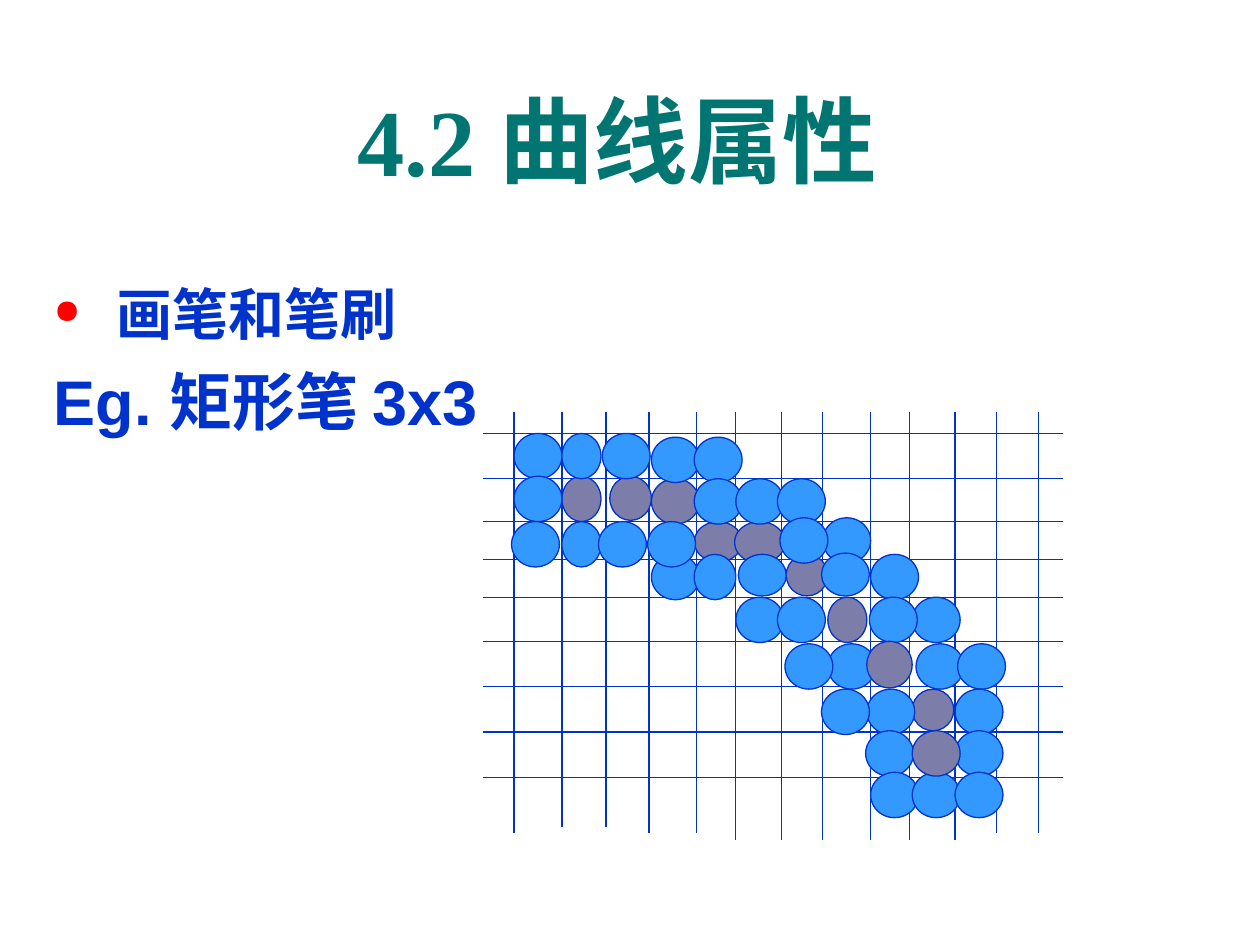
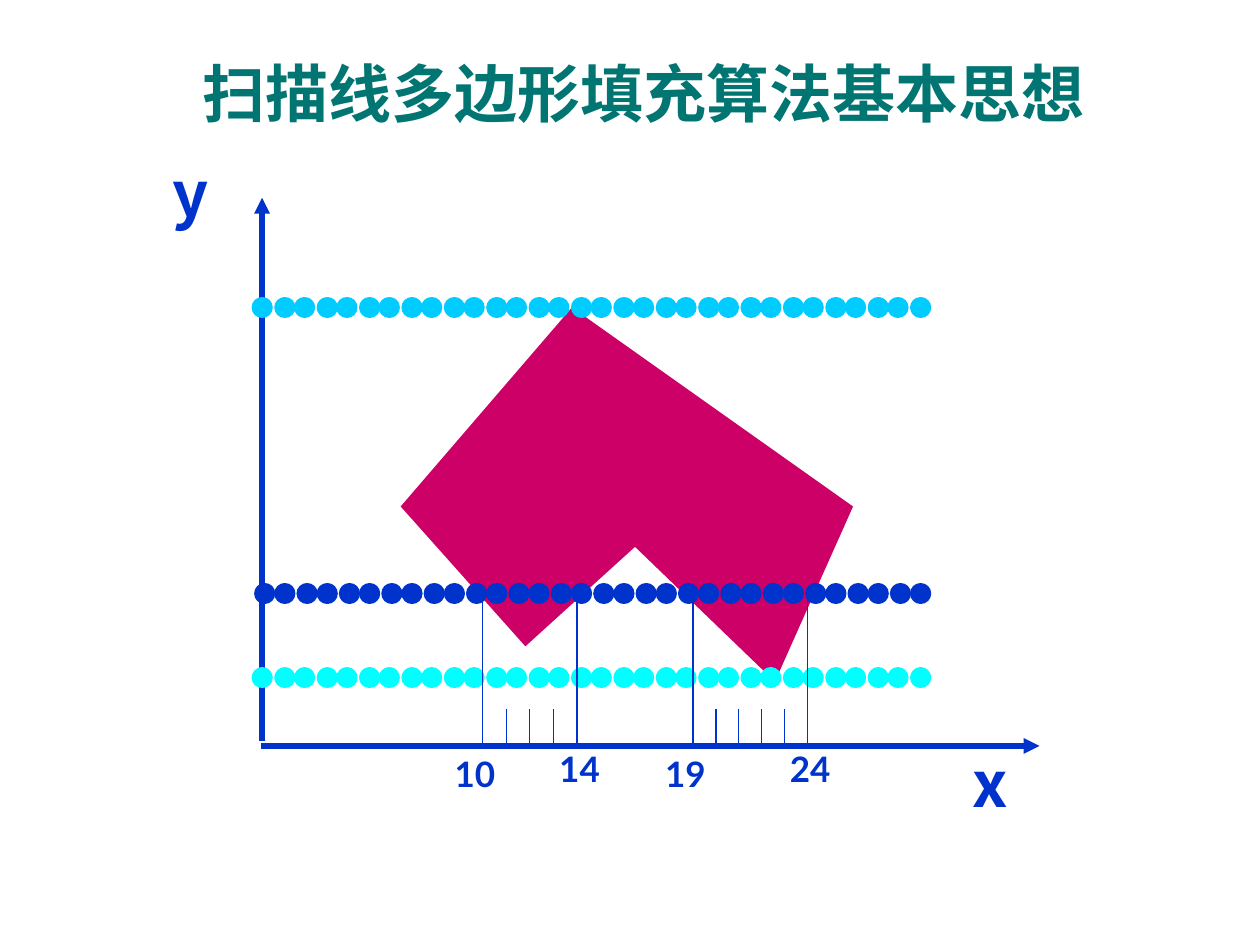
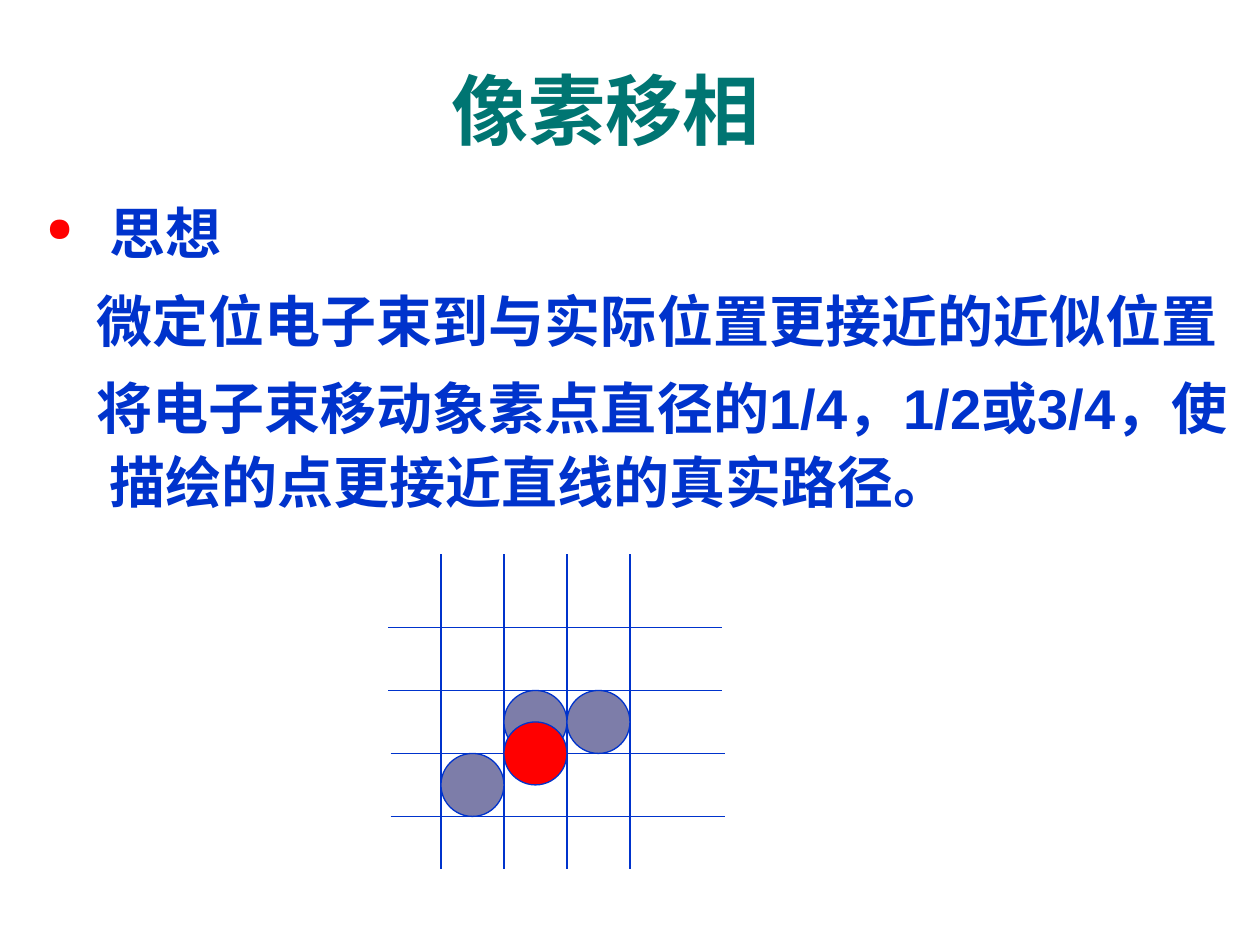
from lxml.etree import SubElement as Sub
from pptx import Presentation
from pptx.dml.color import RGBColor as RGB
from pptx.enum.shapes import MSO_CONNECTOR as Link, MSO_SHAPE as Shape
from pptx.enum.text import MSO_ANCHOR as Anchor, PP_ALIGN as Align
from pptx.oxml.ns import qn
from pptx.util import Pt

PX = 9144
BLUE = RGB(0x00, 0x33, 0xCC)
TEAL = RGB(0x00, 0x75, 0x72)
SKY = RGB(0x33, 0x99, 0xFF)
GREY = RGB(0x7D, 0x7D, 0xA9)
RED = RGB(0xFF, 0x00, 0x00)
PINK = RGB(0xCC, 0x00, 0x66)
AZURE = RGB(0x00, 0xCC, 0xFF)
CYAN = RGB(0x00, 0xFF, 0xFF)
HAN = "Noto Sans CJK SC"
TIMES = "Times New Roman"

GRID_COLS = {329: [63, 98],
             334: [25, 132, 170, 408, 441],
             340: [201, 237, 270, 308, 339, 375]}
GRID_ROWS = [17, 53, 87, 117, 147, 182, 218, 254, 290]

CURVE_START = [(63, 51, 31, 36), (101, 51, 33, 35), (134, 53, 38, 36), (168, 87, 38, 32),
               (200, 87, 40, 33), (241, 113, 33, 33), (274, 147, 31, 36), (341, 220, 33, 33)]
CURVE_END = [(305, 182, 36, 37), (341, 253, 38, 36)]
BRUSH_ROWS = [(17, [25, 63, 95]), (20, [134, 168]),
              (51, [25]), (53, [168, 201, 234]),
              (113, [134, 168, 203, 308]), (87, [23, 63, 92, 131]),
              (84, [270, 236]), (112, [269]),
              (147, [341, 201, 307, 234]),
              (184, [274, 240, 344, 377]),
              (220, [305, 375, 269]),
              (253, [375, 304]),
              (286, [308, 341, 375])]
BRUSH_SIZE = (38, 36)
SLIM = {(63, 17): (31, 36), (63, 87): (31, 36), (168, 113): (33, 36),
        (203, 113): (38, 33), (269, 112): (38, 34)}

CORNERS = [(188, 279), (324, 121), (547, 279), (485, 418), (374, 311), (287, 390)]
SCANS = [(348, 80, BLUE), (121, 78, AZURE), (415, 78, CYAN)]
SPANS = [(253, 328, 10, 14), (420, 511, 19, 24)]


def px(*nums):
    return [round(n * PX) for n in nums]


def draw_line(slide, x1, y1, x2, y2, color=BLUE, width=0.75):
    line = slide.shapes.add_connector(Link.STRAIGHT, *px(x1, y1, x2, y2))
    line.line.color.rgb = color
    line.line.width = Pt(width)
    Sub(line._element.spPr, qn("a:effectLst"))
    return line


def draw_axis(slide, *ends):
    line = draw_line(slide, *ends, width=3)
    Sub(line.get_or_add_ln(), qn("a:tailEnd"), type="triangle")


def draw_beads(slide, x, y, width, color):
    line = draw_line(slide, x, y, x + width, y, color, 12)
    props = line.get_or_add_ln()
    props.set("cap", "rnd")
    Sub(Sub(props, qn("a:custDash")), qn("a:ds"), d="100000", sp="102000")


def paint(shape, color):
    shape.shadow.inherit = False
    shape.fill.solid()
    shape.fill.fore_color.rgb = color


def draw_dot(slide, color, x, y, width, height):
    dot = slide.shapes.add_shape(Shape.OVAL, *px(x, y, width, height))
    paint(dot, color)
    dot.line.color.rgb = BLUE
    dot.line.width = Pt(0.75)


def add_run(para, text, size, face, color=BLUE):
    run = para.add_run()
    run.text = text
    font = run.font
    font.size, font.name, font.bold = Pt(size), face, True
    font.color.rgb = color
    Sub(run._r.get_or_add_rPr(), qn("a:ea"), typeface=HAN)


def add_box(slide, box, anchor=Anchor.TOP, wrap=True):
    frame = slide.shapes.add_textbox(*px(*box)).text_frame
    frame.word_wrap = wrap
    frame.vertical_anchor = anchor
    return frame


def add_title(slide, box, size, runs, anchor=Anchor.MIDDLE, space=None):
    para = add_box(slide, box, anchor).paragraphs[0]
    para.alignment = Align.CENTER
    para.line_spacing = space
    for text, face in runs:
        add_run(para, text, size, face, TEAL)


def set_indent(para, first):
    props = para._p.get_or_add_pPr()
    left, dent = px(50, first)
    props.set("marL", str(left))
    props.set("indent", str(dent))
    return props


def add_body(slide, box, head, lines, size, gap, first, space=None):
    frame = add_box(slide, box)
    para = frame.paragraphs[0]
    props = set_indent(para, -50)
    Sub(Sub(props, qn("a:buClr")), qn("a:srgbClr"), val=str(RED))
    Sub(props, qn("a:buSzPct"), val="60000")
    Sub(props, qn("a:buChar"), char="●")
    para.line_spacing = space
    add_run(para, head, 32, "Arial")
    for text in lines:
        para = frame.add_paragraph()
        Sub(set_indent(para, first), qn("a:buNone"))
        para.space_before = Pt(gap)
        para.line_spacing = space
        add_run(para, text, size, "Arial")


def draw_grid(slide, left, top, width):
    for height, cols in GRID_COLS.items():
        for x in cols:
            draw_line(slide, left + x, top, left + x, top + height)
    for y in GRID_ROWS:
        draw_line(slide, left, top + y, left + width, top + y)


def draw_stroke(slide, left, top):
    brush = [(x, y, *SLIM.get((x, y), BRUSH_SIZE)) for y, cols in BRUSH_ROWS for x in cols]
    for color, dots in ((GREY, CURVE_START), (SKY, brush), (GREY, CURVE_END)):
        for x, y, width, height in dots:
            draw_dot(slide, color, left + x, top + y, width, height)


def draw_axes(slide, left, top):
    draw_axis(slide, left + 78, top + 465, left + 78, top + 34)
    draw_axis(slide, left + 77, top + 469, left + 695, top + 469)
    for name, x, y, width in (("x", 633, 468, 45), ("y", 0, 0, 43)):
        frame = add_box(slide, (left + x, top + y, width, 60), Anchor.MIDDLE)
        frame.margin_left = frame.margin_right = 0
        frame.margin_top = frame.margin_bottom = 0
        para = frame.paragraphs[0]
        para.alignment = Align.CENTER
        add_run(para, name, 36, HAN)


def draw_area(slide, left, top):
    points = [px(left + x, top + y) for x, y in CORNERS]
    edge = slide.shapes.build_freeform(*points[0])
    edge.add_line_segments(points[1:], close=True)
    area = edge.convert_to_shape()
    paint(area, PINK)
    area.line.fill.background()


def draw_scans(slide, left, top):
    for y, near, color in SCANS:
        for x in (96, near):
            draw_beads(slide, left + x, top + y, 506, color)


def draw_spans(slide, left, top):
    base = top + 467
    for start, end, low, high in SPANS:
        step = (end - start) / (high - low)
        for num in range(low, high + 1):
            x = left + start + step * (num - low)
            rise = 119 if num in (low, high) else 27
            draw_line(slide, x, base, x, base - rise)
        for x, y, num in ((start - 32, 469, low), (end - 24, 465, high)):
            frame = add_box(slide, (left + x, top + y, 53, 44), wrap=False)
            add_run(frame.paragraphs[0], str(num), 20, "Lato")


def draw_shift(slide, left, top, cell):
    for i in range(4):
        x = left + 42 + cell * i
        draw_line(slide, x, top, x, top + 250)
        x, y = left + i // 2 * 2, top + 58 + cell * i
        draw_line(slide, x, y, x + 265, y)
    for color, col, row in ((GREY, 0, 2), (GREY, 1, 1), (GREY, 2, 1), (RED, 1, 1.5)):
        draw_dot(slide, color, left + 42 + cell * col, top + 58 + cell * row, cell, cell)


def fill_pen(slide):
    add_title(slide, (23, 60, 934, 100), 54, [("4.2 ", TIMES), ("曲线属性", HAN)])
    add_body(slide, (33, 217, 934, 136), "画笔和笔刷", ["Eg. 矩形笔 3x3"], 36, 9, -50)
    draw_grid(slide, 383, 327, 461)
    draw_stroke(slide, 383, 327)


def fill_scan(slide):
    add_title(slide, (75, 26, 872, 82), 36, [("扫描线多边形填充算法基本思想", TIMES)], space=1.2)
    for draw in (draw_axes, draw_area, draw_scans, draw_spans):
        draw(slide, 130, 123)


def fill_shift(slide):
    add_title(slide, (177, 44, 608, 84), 44, [("像素移相", TIMES)], Anchor.BOTTOM)
    draw_shift(slide, 308, 440, 50)
    add_body(slide, (27, 147, 973, 288), "思想",
             ["微定位电子束到与实际位置更接近的近似位置",
              "将电子束移动象素点直径的1/4，1/2或3/4，使描绘的点更接近直线的真实路径。"],
             32, 8, -10, 1.1)


def main():
    deck = Presentation()
    deck.slide_width, deck.slide_height = px(1000, 750)
    for fill in (fill_pen, fill_scan, fill_shift):
        fill(deck.slides.add_slide(deck.slide_layouts[6]))
    deck.save("out.pptx")


if __name__ == "__main__":
    main()
